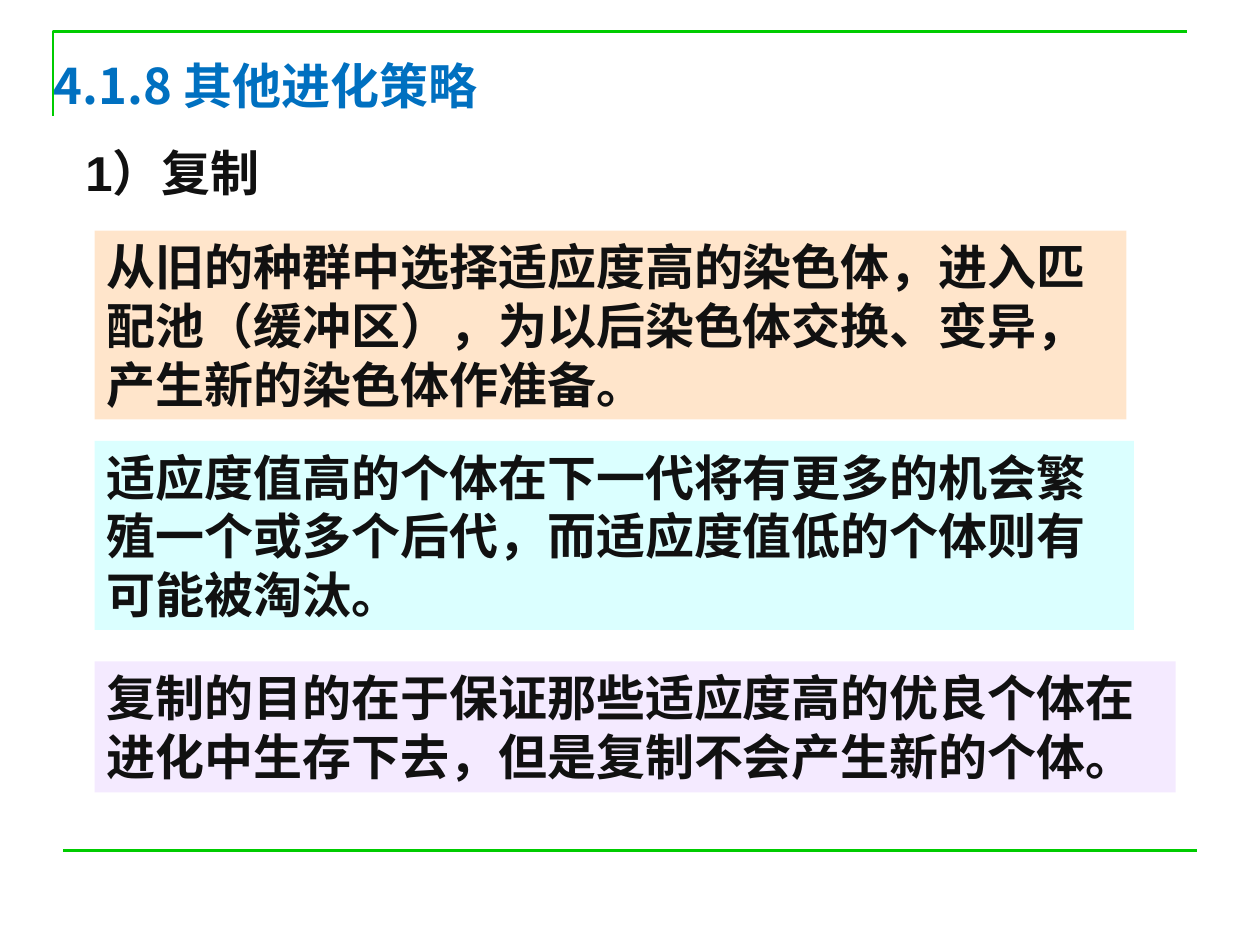
import pptx
import pptx.util
import pptx.dml.color
import pptx.enum.shapes
import pptx.enum.text
import pptx.oxml.ns
from lxml import etree

Inches = pptx.util.Inches
RGB = pptx.dml.color.RGBColor
GREEN = RGB(0x00, 0xCC, 0x00)
BLUE = RGB(0x00, 0x70, 0xC0)
BLACK = RGB(0x11, 0x11, 0x11)
PEACH = RGB(0xFF, 0xCC, 0x99)
CYAN = RGB(0xCC, 0xFF, 0xFF)
LILAC = RGB(0xCC, 0x99, 0xFF)
HAN = "Noto Sans CJK SC"
BODY = {"name": "Arial", "size": pptx.util.Pt(28), "bold": True}
qn = pptx.oxml.ns.qn


def write(shape, text, color, wrap=True, **extra):
    frame = shape.text_frame
    frame.word_wrap = wrap
    frame.auto_size = pptx.enum.text.MSO_AUTO_SIZE.SHAPE_TO_FIT_TEXT
    frame.vertical_anchor = pptx.enum.text.MSO_ANCHOR.TOP
    para = frame.paragraphs[0]
    para.alignment = pptx.enum.text.PP_ALIGN.LEFT
    run = para.add_run()
    run.text = text
    for key, value in {**BODY, **extra}.items():
        setattr(run.font, key, value)
    run.font.color.rgb = color
    etree.SubElement(run.font._element, qn("a:ea"), typeface=HAN)


deck = pptx.Presentation()
deck.slide_width, deck.slide_height = Inches(10), Inches(7.5)
slide = deck.slides.add_slide(deck.slide_layouts[6])
shapes = slide.shapes

# Frame lines
pen = shapes.build_freeform(Inches(0.42), Inches(0.92))
pen.add_line_segments(
    [(Inches(0.42), Inches(0.25)), (Inches(9.42), Inches(0.25))], close=False)
corner = pen.convert_to_shape()
corner.shadow.inherit = False
corner.fill.background()
base = shapes.add_connector(
    pptx.enum.shapes.MSO_CONNECTOR.STRAIGHT,
    Inches(0.5), Inches(6.75), Inches(9.5), Inches(6.75))
etree.SubElement(base._element.spPr, qn("a:effectLst"))
for rule in (corner, base):
    rule.line.color.rgb = GREEN
    rule.line.width = pptx.util.Pt(1.5)

# Headings
title = shapes.add_textbox(Inches(0.33), Inches(0.39), Inches(4.02), Inches(0.57))
write(title, "4.1.8 其他进化策略", BLUE, wrap=False, name=HAN)
head = shapes.add_textbox(Inches(0.58), Inches(1.08), Inches(7.75), Inches(0.57))
write(head, "1）复制", BLACK)

# Tinted panels: top, width, height, fill, opacity in percent, text
panels = [
    (1.83, 8.19, 1.5, PEACH, 50,
     "从旧的种群中选择适应度高的染色体，进入匹配池（缓冲区），"
     "为以后染色体交换、变异，产生新的染色体作准备。"),
    (3.5, 8.25, 1.5, CYAN, 70,
     "适应度值高的个体在下一代将有更多的机会繁殖一个或多个后代，"
     "而适应度值低的个体则有可能被淘汰。"),
    (5.25, 8.58, 1.04, LILAC, 20,
     "复制的目的在于保证那些适应度高的优良个体在进化中生存下去，"
     "但是复制不会产生新的个体。"),
]
for top, width, height, tint, alpha, text in panels:
    panel = shapes.add_shape(
        pptx.enum.shapes.MSO_SHAPE.RECTANGLE,
        Inches(0.75), Inches(top), Inches(width), Inches(height))
    panel.shadow.inherit = False
    panel.line.fill.background()
    panel.fill.solid()
    panel.fill.fore_color.rgb = tint
    color = panel._element.spPr.find(qn("a:solidFill")).find(qn("a:srgbClr"))
    etree.SubElement(color, qn("a:alpha"), val=str(alpha * 1000))
    write(panel, text, BLACK)

deck.save("out.pptx")
